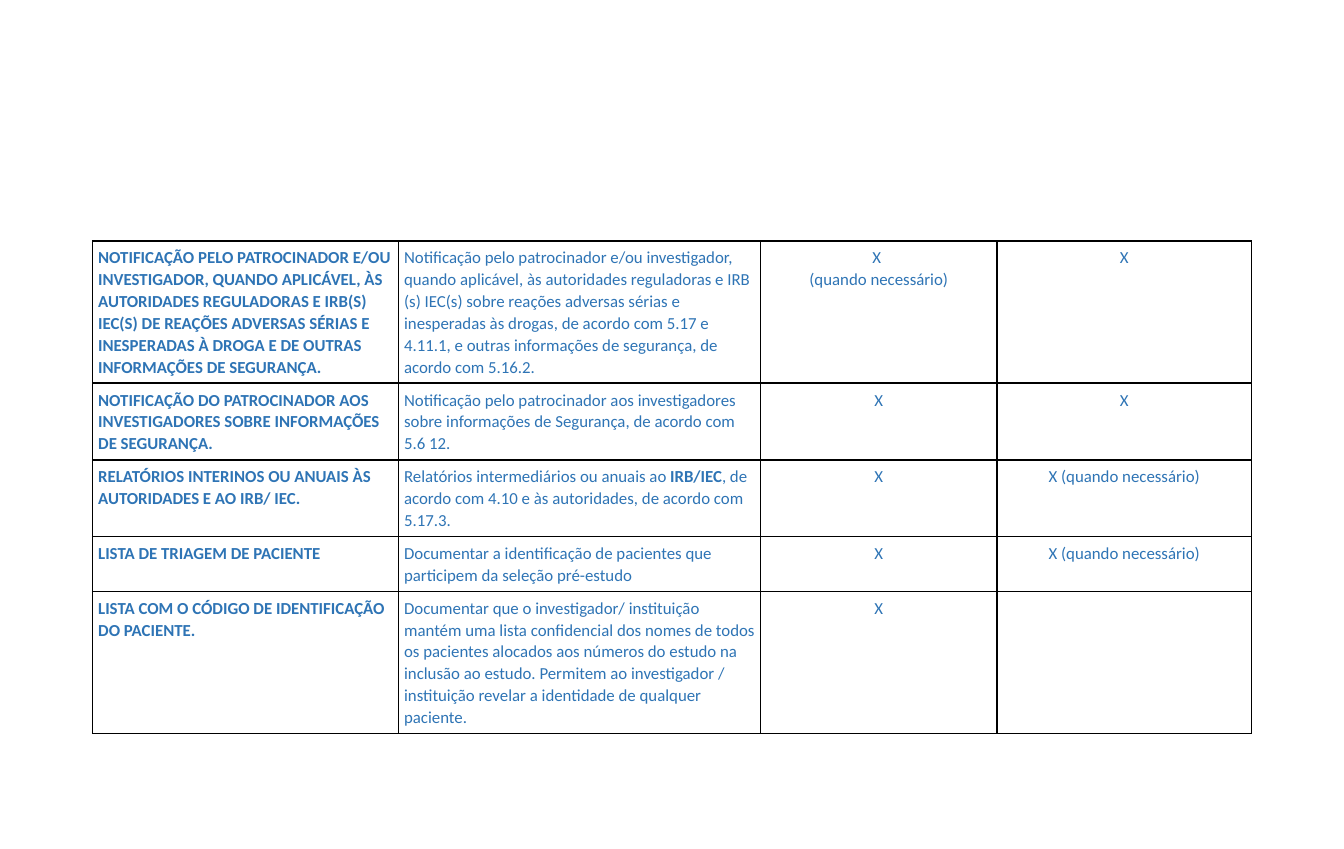
from dataclasses import dataclass

from lxml.etree import SubElement
from pptx import Presentation
from pptx.dml.color import RGBColor
from pptx.enum.text import PP_ALIGN
from pptx.oxml.ns import qn
from pptx.table import _Cell
from pptx.util import Pt

COLORS = {"text": "2E74B5", "border": "000000"}
FONT = "Calibri"
COL_WIDTHS = (163.9, 193.9, 126.7, 136.3)
LEFT, TOP = 49.6, 129.1
BOLD_MARK = "**"  # switches bold on and off inside a cell


@dataclass
class DocumentRow:
    height: float
    title: str
    purpose: str
    first_mark: str
    second_mark: str


ROWS = [
    DocumentRow(
        75.3,
        "NOTIFICAÇÃO PELO PATROCINADOR E/OU INVESTIGADOR, QUANDO APLICÁVEL, ÀS "
        "AUTORIDADES REGULADORAS E IRB(S) IEC(S) DE REAÇÕES ADVERSAS SÉRIAS E "
        "INESPERADAS À DROGA E DE OUTRAS INFORMAÇÕES DE SEGURANÇA.",
        "Notificação pelo patrocinador e/ou investigador, quando aplicável, às "
        "autoridades reguladoras e IRB (s) IEC(s) sobre reações adversas sérias e "
        "inesperadas às drogas, de acordo com 5.17 e 4.11.1, e outras informações "
        "de segurança, de acordo com 5.16.2.",
        "X \n(quando necessário)", "X"),
    DocumentRow(
        40.7,
        "NOTIFICAÇÃO DO PATROCINADOR AOS INVESTIGADORES SOBRE INFORMAÇÕES DE SEGURANÇA.",
        "Notificação pelo patrocinador aos investigadores sobre informações de "
        "Segurança, de acordo com 5.6 12.",
        "X", "X"),
    DocumentRow(
        40.7,
        "RELATÓRIOS INTERINOS OU ANUAIS ÀS AUTORIDADES E AO IRB/ IEC.",
        "Relatórios intermediários ou anuais ao **IRB/IEC**, de acordo com 4.10 e "
        "às autoridades, de acordo com 5.17.3.",
        "X", "X (quando necessário)"),
    DocumentRow(
        29.2,
        "LISTA DE TRIAGEM DE PACIENTE",
        "Documentar a identificação de pacientes que participem da seleção pré-estudo ",
        "X", "X (quando necessário)"),
    DocumentRow(
        75.3,
        "LISTA COM O CÓDIGO DE IDENTIFICAÇÃO DO PACIENTE.",
        "Documentar que o investigador/ instituição mantém uma lista confidencial dos "
        "nomes de todos os pacientes alocados aos números do estudo na inclusão ao "
        "estudo. Permitem ao investigador / instituição revelar a identidade de "
        "qualquer paciente.",
        "X", ""),
]


def set_borders(cell: _Cell) -> None:
    tc_pr = cell._tc.get_or_add_tcPr()
    for side in ("a:lnL", "a:lnR", "a:lnT", "a:lnB"):
        ln = SubElement(tc_pr, qn(side), w=str(Pt(1)))
        fill = SubElement(ln, qn("a:solidFill"))
        SubElement(fill, qn("a:srgbClr"), val=COLORS["border"])


def fill_cell(cell: _Cell, text: str, bold: bool, align: PP_ALIGN) -> None:
    cell.margin_left = cell.margin_right = Pt(3)
    cell.margin_top = cell.margin_bottom = Pt(3)
    set_borders(cell)
    cell.fill.background()
    tf = cell.text_frame
    for i, line in enumerate(text.split("\n")):
        p = tf.paragraphs[0] if i == 0 else tf.add_paragraph()
        p.alignment = align
        p.line_spacing = 1.07
        p.font.size = Pt(9)
        for j, part in enumerate(line.split(BOLD_MARK)):
            if not part:
                continue
            r = p.add_run()
            r.text = part
            r.font.name = FONT
            r.font.size = Pt(9)
            r.font.bold = bold or j % 2 == 1
            r.font.color.rgb = RGBColor.from_string(COLORS["text"])


def main() -> None:
    prs = Presentation()
    prs.slide_width, prs.slide_height = Pt(720), Pt(455)
    s = prs.slides.add_slide(prs.slide_layouts[6])

    # Table grid
    table = s.shapes.add_table(
        len(ROWS), len(COL_WIDTHS), Pt(LEFT), Pt(TOP),
        Pt(sum(COL_WIDTHS)), Pt(sum(row.height for row in ROWS))).table
    table.first_row = table.horz_banding = False
    for column, width in zip(table.columns, COL_WIDTHS):
        column.width = Pt(width)

    # Document rows: title and purpose to the left, marks centred
    for i, row in enumerate(ROWS):
        table.rows[i].height = Pt(row.height)
        texts = (row.title, row.purpose, row.first_mark, row.second_mark)
        for j, text in enumerate(texts):
            align = PP_ALIGN.LEFT if j < 2 else PP_ALIGN.CENTER
            fill_cell(table.cell(i, j), text, j == 0, align)

    prs.save("out.pptx")


if __name__ == "__main__":
    main()
